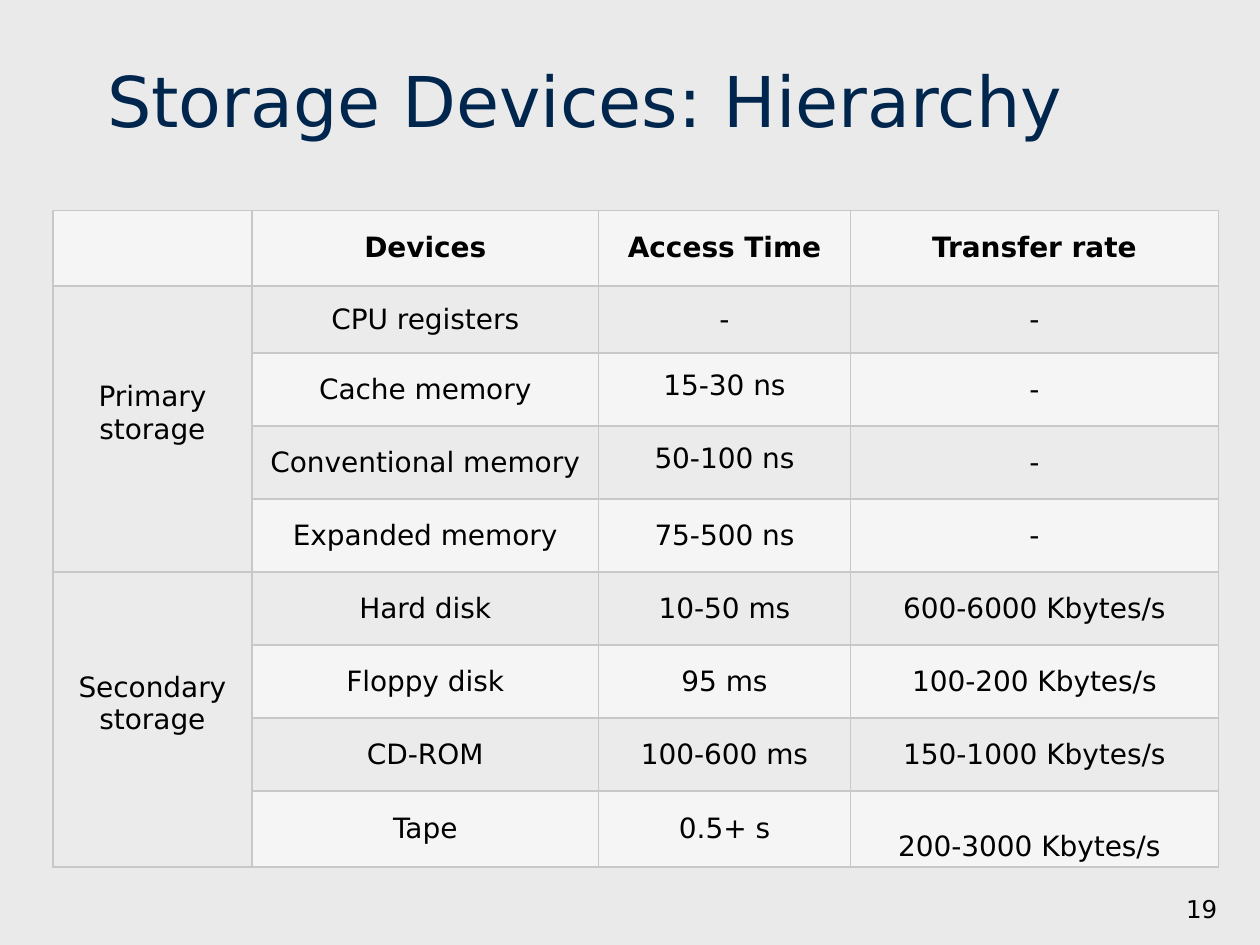
from lxml import etree
from pptx import Presentation
from pptx.dml.color import RGBColor
from pptx.enum.text import MSO_ANCHOR, MSO_AUTO_SIZE, PP_ALIGN
from pptx.oxml.ns import qn
from pptx.util import Inches, Pt

LEFT, CENTER, RIGHT = PP_ALIGN.LEFT, PP_ALIGN.CENTER, PP_ALIGN.RIGHT
MIDDLE, BOTTOM = MSO_ANCHOR.MIDDLE, MSO_ANCHOR.BOTTOM
NO_AUTOFIT = MSO_AUTO_SIZE.NONE

FONT = "DejaVu Sans"
BACKGROUND, LIGHT, SHADED, BORDER = "EAEAEA", "F5F5F5", "EBEBEB", "C8C8C8"
NAVY, BLACK = "00264D", "000000"

COLUMN_WIDTHS = [1.58, 2.75, 2, 2.92]
ROW_HEIGHTS = [0.6, 0.53] + [0.58] * 6 + [0.6]
ROWS = [
    ["", "Devices", "Access Time", "Transfer rate"],
    ["Primary\nstorage", "CPU registers", "-", "-"],
    ["", "Cache memory", "15-30 ns", "-"],
    ["", "Conventional memory", "50-100 ns", "-"],
    ["", "Expanded memory", "75-500 ns", "-"],
    ["Secondary\nstorage", "Hard disk", "10-50 ms", "600-6000 Kbytes/s"],
    ["", "Floppy disk", "95 ms", "100-200 Kbytes/s"],
    ["", "CD-ROM", "100-600 ms", "150-1000 Kbytes/s"],
    ["", "Tape", "0.5+ s", "200-3000 Kbytes/s"],
]
GROUP_ROWS = [(1, 4), (5, 8)]


def color(value):
    return RGBColor.from_string(value)


def fill_solid(fill, value):
    fill.solid()
    fill.fore_color.rgb = color(value)


def write_text(text_frame, text, size, text_color, alignment, bold=False):
    paragraph = text_frame.paragraphs[0]
    paragraph.alignment = alignment
    for index, line in enumerate(text.split("\n")):
        if index:
            paragraph.add_line_break()
        run = paragraph.add_run()
        run.text = line
        run.font.name = FONT
        run.font.size = Pt(size)
        run.font.bold = bold
        run.font.color.rgb = color(text_color)


def place(shape, left, top, width, height):
    shape.left, shape.top = Inches(left), Inches(top)
    shape.width, shape.height = Inches(width), Inches(height)


def add_title(slide, text):
    title = slide.shapes.title
    place(title, 0.75, 0.4, 9.13, 0.77)
    title.text_frame.auto_size = NO_AUTOFIT
    title.text_frame.vertical_anchor = BOTTOM
    write_text(title.text_frame, text, 40, NAVY, LEFT)


def add_page_number(slide, text):
    box = slide.shapes.add_textbox(
        Inches(7.68), Inches(6.88), Inches(2.08), Inches(0.5))
    box.text_frame.word_wrap = True
    box.text_frame.vertical_anchor = BOTTOM
    write_text(box.text_frame, text, 14, BLACK, RIGHT)


def set_borders(cell):
    properties = cell._tc.get_or_add_tcPr()
    for position, side in enumerate(("a:lnL", "a:lnR", "a:lnT", "a:lnB")):
        line = etree.Element(qn(side), w=str(Pt(1)))
        solid = etree.SubElement(line, qn("a:solidFill"))
        etree.SubElement(solid, qn("a:srgbClr"), val=BORDER)
        properties.insert(position, line)


def add_storage_table(slide):
    frame = slide.shapes.add_table(
        len(ROWS), len(COLUMN_WIDTHS), Inches(0.42), Inches(1.67),
        Inches(sum(COLUMN_WIDTHS)), Inches(sum(ROW_HEIGHTS)))
    table = frame.table
    for column, width in zip(table.columns, COLUMN_WIDTHS):
        column.width = Inches(width)
    for row, height in zip(table.rows, ROW_HEIGHTS):
        row.height = Inches(height)

    # Cell text, alternating fills and thin borders
    for row_index, texts in enumerate(ROWS):
        for column_index, text in enumerate(texts):
            cell = table.cell(row_index, column_index)
            cell.vertical_anchor = MIDDLE
            fill_solid(cell.fill, SHADED if row_index % 2 else LIGHT)
            set_borders(cell)
            if text:
                write_text(cell.text_frame, text, 16, BLACK, CENTER,
                           bold=row_index == 0)

    # Storage groups span their device rows, with text above the middle
    for first, last in GROUP_ROWS:
        group = table.cell(first, 0)
        group.merge(table.cell(last, 0))
        group.margin_bottom = Inches(0.3)

    # Entries that sit slightly off the middle of their cells
    for row_index in (2, 3):
        table.cell(row_index, 2).margin_bottom = Inches(0.11)
    tape_rate = table.cell(len(ROWS) - 1, 3)
    tape_rate.vertical_anchor = BOTTOM
    tape_rate.margin_bottom = Inches(0.03)
    tape_rate.margin_right = Inches(0.18)


def main():
    presentation = Presentation()
    presentation.slide_width = Inches(10)
    presentation.slide_height = Inches(7.5)
    slide = presentation.slides.add_slide(presentation.slide_layouts[5])
    fill_solid(slide.background.fill, BACKGROUND)
    add_page_number(slide, "19")
    add_title(slide, "Storage Devices: Hierarchy")
    add_storage_table(slide)
    presentation.save("out.pptx")


if __name__ == "__main__":
    main()
